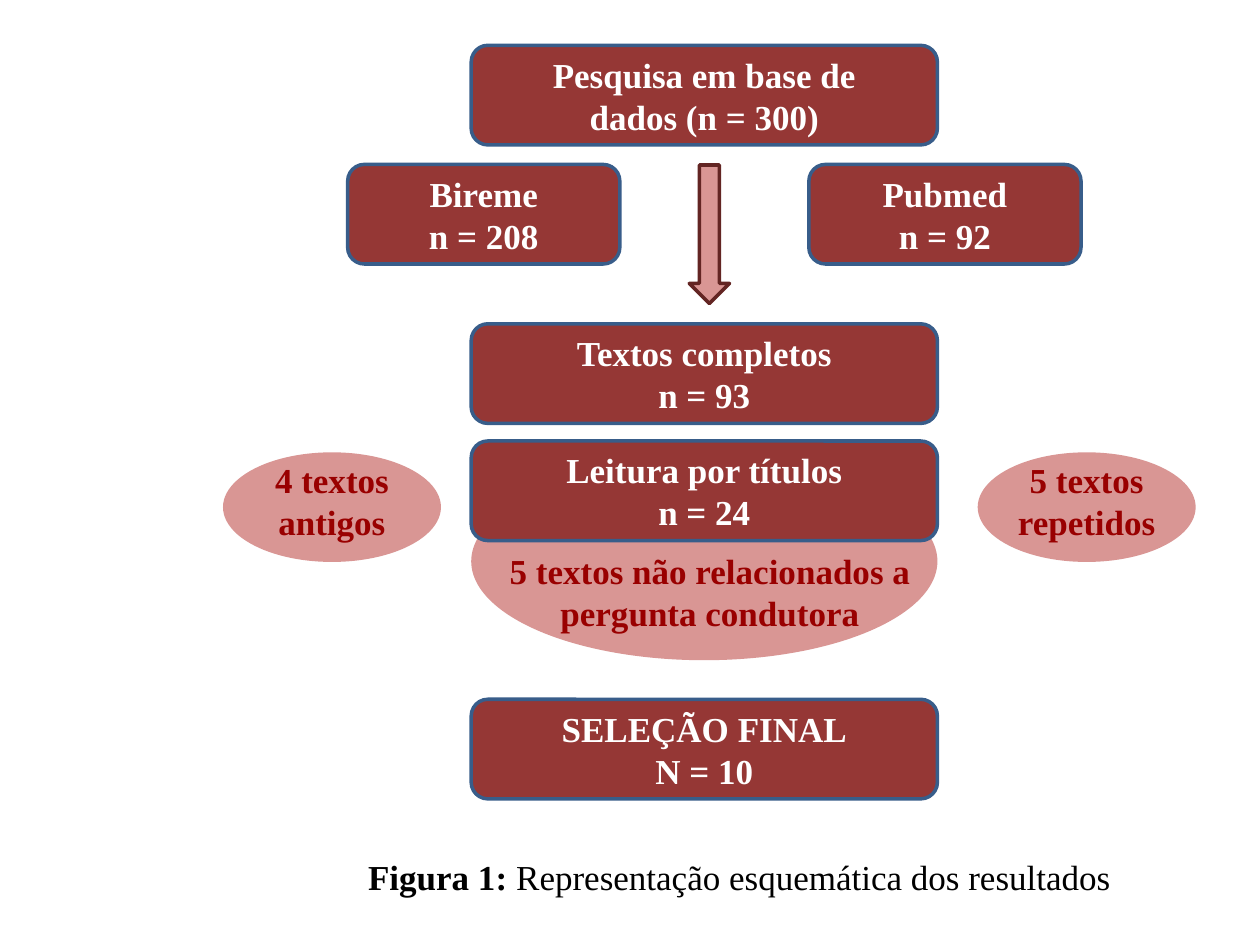
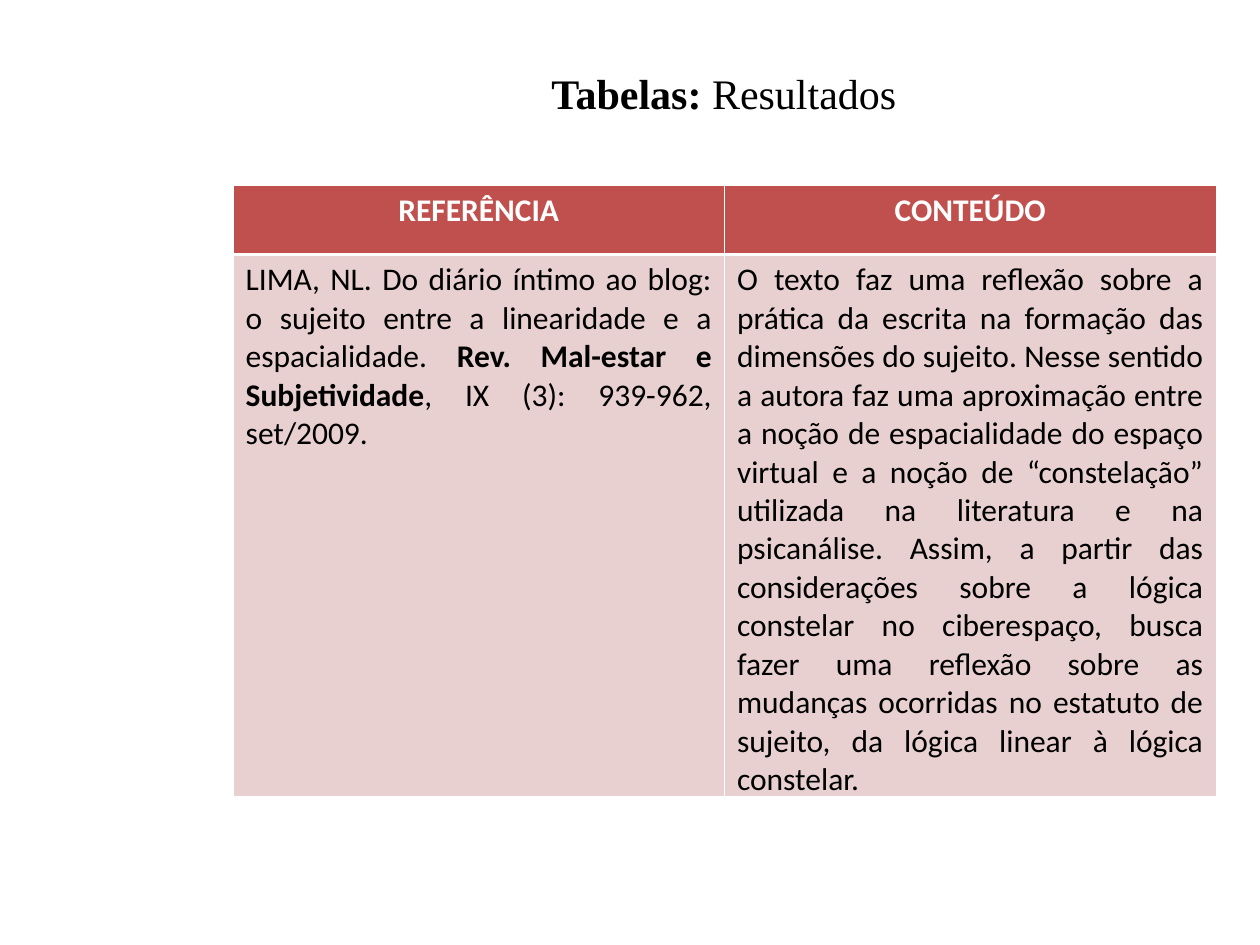
from dataclasses import dataclass

from lxml import etree
from pptx import Presentation
from pptx.dml.color import RGBColor
from pptx.enum.shapes import MSO_SHAPE
from pptx.enum.text import MSO_ANCHOR, PP_ALIGN
from pptx.oxml.ns import qn
from pptx.slide import Slide
from pptx.table import _Cell
from pptx.text.text import TextFrame
from pptx.util import Inches, Pt

ROUND, OVAL, DOWN = MSO_SHAPE.ROUNDED_RECTANGLE, MSO_SHAPE.OVAL, MSO_SHAPE.DOWN_ARROW
TOP, MIDDLE = MSO_ANCHOR.TOP, MSO_ANCHOR.MIDDLE
CENTER, JUSTIFY = PP_ALIGN.CENTER, PP_ALIGN.JUSTIFY
WIDTH, HEIGHT = Inches(10), Inches(7.5)
COLS, ROWS = 100, 75


@dataclass(frozen=True)
class Theme:
    """Colours, fonts and sizes of the deck."""
    white: str = "FFFFFF"
    black: str = "000000"
    brick: str = "953735"
    edge: str = "385D8A"
    rose: str = "D99694"
    wine: str = "632523"
    red: str = "990000"
    head: str = "C0504D"
    body: str = "E8D0D0"
    serif: str = "Times New Roman"
    sans: str = "Calibri"
    title: int = 24
    label: int = 20
    cell: int = 18
    line: float = 2
    thin: float = 0.45
    thick: float = 1.47


THEME = Theme()


@dataclass(frozen=True)
class Pen:
    """Look of a text; bold flips from each span to the next."""
    color: str
    size: int = THEME.label
    font: str = THEME.serif
    bold: bool = True
    align: PP_ALIGN = CENTER


@dataclass(frozen=True)
class Area:
    """Place on the grid, in columns and rows."""
    left: float
    top: float
    width: float
    height: float

    def box(self) -> tuple[int, int, int, int]:
        """Return left, top, width and height as slide lengths."""
        return (col(self.left), row(self.top), col(self.width), row(self.height))


@dataclass(frozen=True)
class Kind:
    """Form and paint of a shape, with its side and bottom insets."""
    form: MSO_SHAPE
    fill: str
    line: str | None
    pen: Pen
    side: float = 0
    base: float = 0


@dataclass(frozen=True)
class Node:
    """One shape of the flow chart."""
    kind: Kind
    area: Area
    text: str = ""


@dataclass(frozen=True)
class Label:
    """Free text made of spans."""
    area: Area
    spans: tuple[str, ...]
    pen: Pen


def col(count: float) -> int:
    """Return the length of some grid columns."""
    return round(WIDTH * count / COLS)


def row(count: float) -> int:
    """Return the length of some grid rows."""
    return round(HEIGHT * count / ROWS)


def paint(color: str) -> RGBColor:
    """Turn a hex string into a colour."""
    return RGBColor.from_string(color)


def write(frame: TextFrame, spans: tuple[str, ...], pen: Pen) -> None:
    """Fill a frame with spans and format them."""
    frame.word_wrap = True
    frame.text = spans[0]
    for span in spans[1:]:
        frame.paragraphs[-1].add_run().text = span
    for para in frame.paragraphs:
        para.alignment = pen.align
        for place, run in enumerate(para.runs):
            run.font.name, run.font.size = pen.font, Pt(pen.size)
            run.font.bold = pen.bold ^ (place % 2 == 1)
            run.font.color.rgb = paint(pen.color)


def draw(slide: Slide, node: Node) -> None:
    """Add a node of the flow chart."""
    kind = node.kind
    shape = slide.shapes.add_shape(kind.form, *node.area.box())
    shape.shadow.inherit = False
    shape.fill.solid()
    shape.fill.fore_color.rgb = paint(kind.fill)
    if kind.line:
        shape.line.color.rgb = paint(kind.line)
        shape.line.width = Pt(THEME.line)
    else:
        shape.line.fill.background()
    if node.text:
        frame = shape.text_frame
        frame.margin_left = frame.margin_right = col(kind.side)
        frame.margin_top, frame.margin_bottom = 0, row(kind.base)
        frame.vertical_anchor = MIDDLE
        write(frame, (node.text,), kind.pen)


def note(slide: Slide, label: Label) -> None:
    """Add a text box."""
    frame = slide.shapes.add_textbox(*label.area.box()).text_frame
    frame.vertical_anchor = TOP
    write(frame, label.spans, label.pen)


def rule(cell: _Cell, first: bool) -> None:
    """Draw white borders, thick between header and body."""
    thick = "lnB" if first else "lnT"
    props = cell._tc.get_or_add_tcPr()
    for side in ("lnL", "lnR", "lnT", "lnB"):
        width = THEME.thick if side == thick else THEME.thin
        line = etree.SubElement(props, qn(f"a:{side}"), w=str(Pt(width)))
        fill = etree.SubElement(line, qn("a:solidFill"))
        etree.SubElement(fill, qn("a:srgbClr"), val=THEME.white)


def grid(slide: Slide, area: Area, lines: tuple, sizes: tuple[float, ...]) -> None:
    """Add a table with a header row."""
    table = slide.shapes.add_table(len(lines), len(lines[0]), *area.box()).table
    for place, (line, size) in enumerate(zip(lines, sizes)):
        table.rows[place].height = row(size)
        first = place == 0
        pen = HEAD if first else BODY
        for cell, spans in zip(table.rows[place].cells, line):
            rule(cell, first)
            cell.fill.solid()
            cell.fill.fore_color.rgb = paint(THEME.head if first else THEME.body)
            write(cell.text_frame, spans, pen)


LIGHT, DARK, PLAIN = Pen(THEME.white), Pen(THEME.red), Pen(THEME.black)
TITLE = Pen(THEME.black, THEME.title)
HEAD = Pen(THEME.white, THEME.cell, THEME.sans)
BODY = Pen(THEME.black, THEME.cell, THEME.sans, False, JUSTIFY)

STEP = Kind(ROUND, THEME.brick, THEME.edge, LIGHT, side=3)
DROP = Kind(OVAL, THEME.rose, None, DARK, base=1)
ARROW = Kind(DOWN, THEME.rose, THEME.wine, DARK)


def main_step(top: float, text: str) -> Node:
    """Make a wide step of the central column."""
    return Node(STEP, Area(37.4, top, 37, 7.9), text)


def base_step(left: float, text: str) -> Node:
    """Make a narrow step for one database."""
    return Node(STEP, Area(left, 13.05, 21.6, 7.9), text)


def side_drop(left: float, text: str) -> Node:
    """Make an oval for texts left out."""
    return Node(DROP, Area(left, 35.9, 17.3, 8.7), text)


FLOW = (
    Node(DROP, Area(37.4, 36.7, 37, 15.7)),
    main_step(3.6, "Pesquisa em base de dados (n = 300)"),
    base_step(27.6, "Bireme\nn = 208"),
    base_step(64.2, "Pubmed\nn = 92"),
    Node(ARROW, Area(54.7, 13.1, 3.2, 11)),
    main_step(25.7, "Textos completos\nn = 93"),
    main_step(35, "Leitura por títulos\nn = 24"),
    side_drop(17.7, "4 textos antigos"),
    side_drop(77.6, "5 textos repetidos"),
    main_step(55.5, "SELEÇÃO FINAL\nN = 10"),
)
NOTES = (
    Label(Area(39, 43.1, 34.7, 7.7),
          ("5 textos não relacionados a pergunta condutora",), DARK),
    Label(Area(19.3, 67.4, 78.8, 4.4),
          ("Figura 1: ", "Representação esquemática dos resultados"), PLAIN),
)
HEADING = Label(Area(17.7, 4.9, 79.5, 5), ("Tabelas:", " Resultados"), TITLE)
RESULTS = (
    (("REFERÊNCIA",), ("CONTEÚDO",)),
    (
        ("LIMA, NL. Do diário íntimo ao blog: o sujeito entre a linearidade e a "
         "espacialidade. ", "Rev. Mal-estar e Subjetividade",
         ", IX (3): 939-962, set/2009."),
        ("O texto faz uma reflexão sobre a prática da escrita na formação das "
         "dimensões do sujeito. Nesse sentido a autora faz uma aproximação entre "
         "a noção de espacialidade do espaço virtual e a noção de “constelação” "
         "utilizada na literatura e na psicanálise. Assim, a partir das "
         "considerações sobre a lógica constelar no ciberespaço, busca fazer uma "
         "reflexão sobre as mudanças ocorridas no estatuto de sujeito, da lógica "
         "linear à lógica constelar.",),
    ),
)


def main() -> None:
    """Build and save the deck."""
    deck = Presentation()
    deck.slide_width, deck.slide_height = WIDTH, HEIGHT
    blank = deck.slide_layouts[6]
    chart = deck.slides.add_slide(blank)
    for node in FLOW:
        draw(chart, node)
    for label in NOTES:
        note(chart, label)
    study = deck.slides.add_slide(blank)
    grid(study, Area(18.5, 14.7, 78, 48.5), RESULTS, (5.5, 43))
    note(study, HEADING)
    deck.save("out.pptx")


if __name__ == "__main__":
    main()
